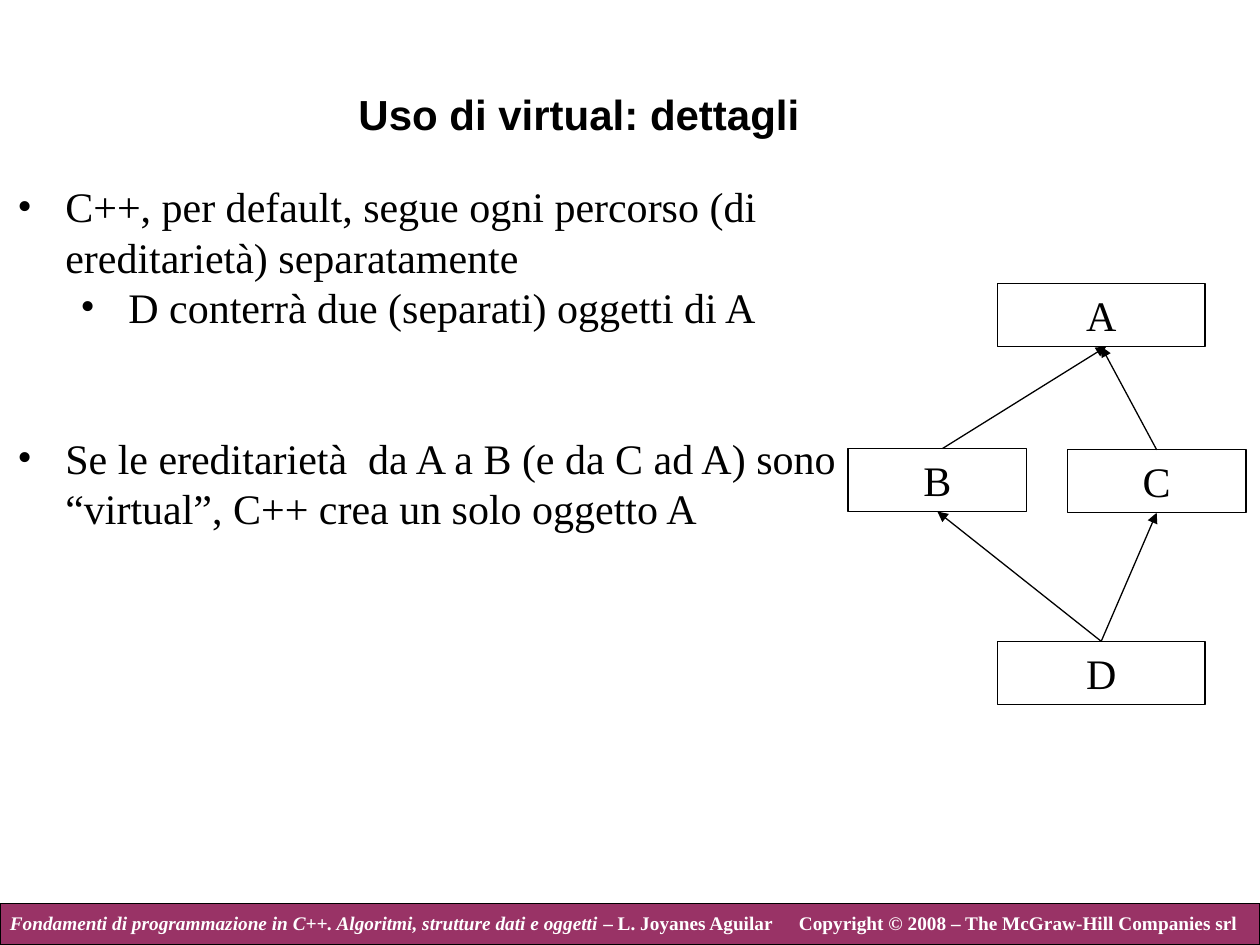
from lxml.etree import SubElement
from pptx import Presentation
from pptx.dml.color import RGBColor
from pptx.enum.shapes import MSO_CONNECTOR, MSO_SHAPE
from pptx.enum.text import MSO_ANCHOR, PP_ALIGN
from pptx.oxml.ns import qn
from pptx.util import Inches, Pt

# Content
TITLE = "Uso di virtual: dettagli"
# level, space before in points, text
POINTS = [
    (0, 0, "C++, per default, segue ogni percorso (di ereditarietà) separatamente"),
    (1, 0, "D conterrà due (separati) oggetti di A"),
    (0, 58, "Se le ereditarietà  da A a B (e da C ad A) sono “virtual”, "
            "C++ crea un solo oggetto A"),
]
BOOK = "Fondamenti di programmazione in C++. Algoritmi, strutture dati e oggetti"
AUTHOR = " – L. Joyanes Aguilar"
RIGHTS = "Copyright © 2008 – The McGraw-Hill Companies srl"

# Class diagram: centre, top and width of each box
NODES = {
    "A": (8.74, 2.25, 1.65),
    "B": (7.44, 3.56, 1.42),
    "C": (9.18, 3.57, 1.42),
    "D": (8.74, 5.09, 1.65),
}
# child, parent, shift to the right
LINKS = [("B", "A", 0.04), ("C", "A", 0), ("D", "B", 0), ("D", "C", 0)]

COLORS = {"ink": "000000", "bar": "993366", "pale": "FFFFFF"}
SERIF, SANS = "Times New Roman", "Arial"
WIDE, HIGH = 10, 7.5
BAR = 0.33      # height of the footer
TALL = 0.5      # height of a class box
HANG = 0.38     # bullet indent
STEP = 0.5      # indent for each level
PITCH = Pt(28.6)

deck = Presentation()
deck.slide_width, deck.slide_height = Inches(WIDE), Inches(HIGH)
slide = deck.slides.add_slide(deck.slide_layouts[6])


def color(name):
    return RGBColor.from_string(COLORS[name])


def add_run(para, text, size=24, font=SERIF, ink="ink", bold=False, slant=False):
    run = para.add_run()
    run.text = text
    run.font.size, run.font.name = Pt(size), font
    run.font.bold, run.font.italic = bold, slant
    run.font.color.rgb = color(ink)


def add_text(left, top, width, height, wrap=True):
    frame = slide.shapes.add_textbox(*map(Inches, (left, top, width, height))).text_frame
    frame.word_wrap = wrap
    return frame


def add_rect(left, top, width, height, fill=None):
    rect = slide.shapes.add_shape(
        MSO_SHAPE.RECTANGLE, *map(Inches, (left, top, width, height)))
    rect.shadow.inherit = False
    if fill:
        rect.fill.solid()
        rect.fill.fore_color.rgb = color(fill)
    else:
        rect.fill.background()
    rect.line.color.rgb = color("ink")
    rect.line.width = Pt(0.75)
    return rect


def add_bullet(para, level):
    props = para._p.get_or_add_pPr()
    props.set("marL", str(Inches(HANG + STEP * level)))
    props.set("indent", str(-Inches(HANG)))
    tint = SubElement(props, qn("a:buClr"))
    SubElement(tint, qn("a:srgbClr"), val=COLORS["ink"])
    SubElement(props, qn("a:buFont"), typeface=SERIF)
    SubElement(props, qn("a:buChar"), char="•")


def add_arrow(start, end):
    line = slide.shapes.add_connector(
        MSO_CONNECTOR.STRAIGHT, *map(Inches, (*start, *end)))
    line.line.color.rgb = color("ink")
    line.line.width = Pt(0.75)
    SubElement(line.line._get_or_add_ln(), qn("a:tailEnd"), type="triangle")
    SubElement(line._element.spPr, qn("a:effectLst"))


# Footer
add_rect(0, HIGH - BAR, WIDE, BAR, "bar")
foot = {"size": 11, "ink": "pale", "bold": True}
para = add_text(-0.02, 7.18, 6.27, 0.29, wrap=False).paragraphs[0]
add_run(para, BOOK, slant=True, **foot)
add_run(para, AUTHOR, **foot)
para = add_text(6.24, 7.18, 3.68, 0.29, wrap=False).paragraphs[0]
para.alignment = PP_ALIGN.RIGHT
add_run(para, RIGHTS, **foot)

# Title
frame = add_text(0.35, 0.28, 8.49, 1.24)
frame.vertical_anchor = MSO_ANCHOR.MIDDLE
para = frame.paragraphs[0]
para.alignment = PP_ALIGN.CENTER
add_run(para, TITLE, font=SANS, bold=True)

# Bullet points
frame = add_text(0.04, 1.39, 7.09, 2.9)
for i, (level, gap, text) in enumerate(POINTS):
    para = frame.add_paragraph() if i else frame.paragraphs[0]
    add_bullet(para, level)
    para.level = level
    para.line_spacing = PITCH
    if gap:
        para.space_before = Pt(gap)
    add_run(para, text)

# Class boxes
for name, (mid, top, width) in NODES.items():
    frame = add_rect(mid - width / 2, top, width, TALL).text_frame
    frame.word_wrap = True
    frame.vertical_anchor = MSO_ANCHOR.MIDDLE
    para = frame.paragraphs[0]
    para.alignment = PP_ALIGN.CENTER
    para.line_spacing = PITCH
    add_run(para, name)

# Arrows from child to parent
for child, base, shift in LINKS:
    low, high = NODES[child], NODES[base]
    add_arrow((low[0] + shift, low[1]), (high[0] + shift, high[1] + TALL))

deck.save("out.pptx")
